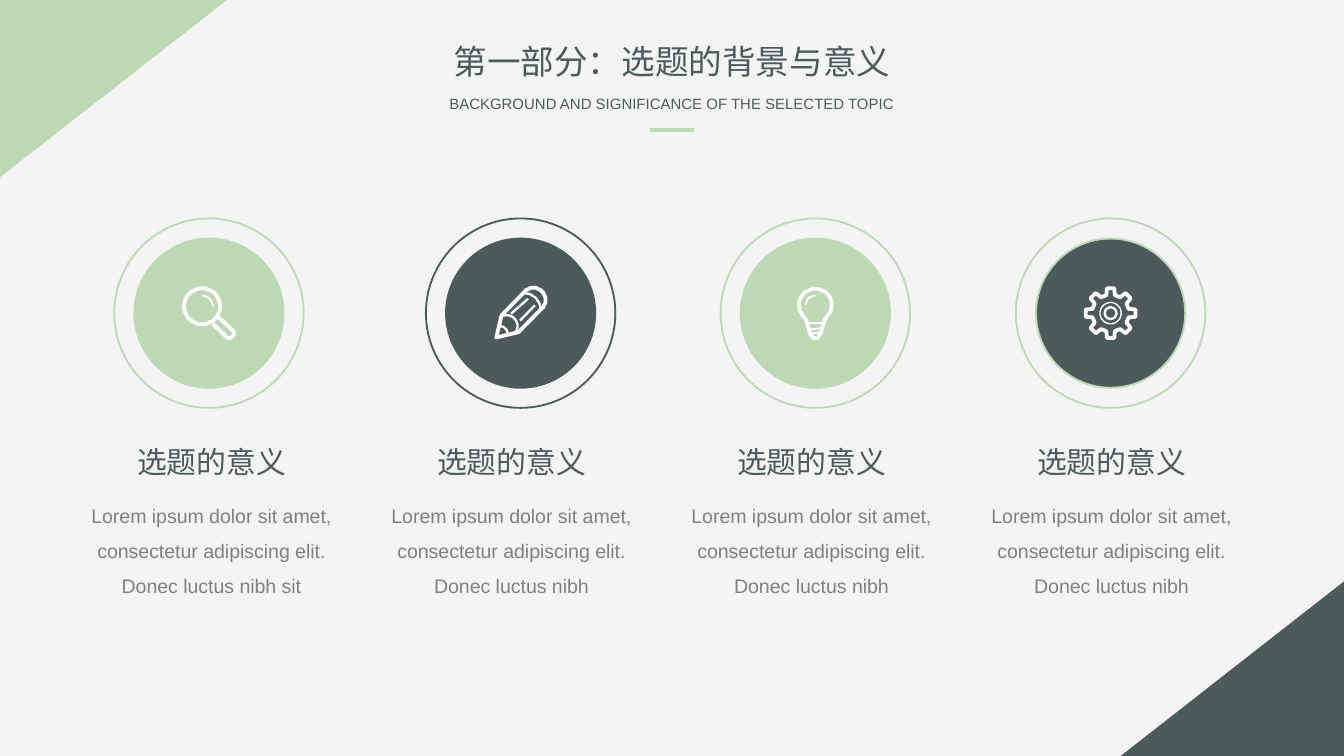
import math
from dataclasses import dataclass

import pptx
import pptx.dml.color
import pptx.enum.shapes
import pptx.enum.text
import pptx.oxml
import pptx.oxml.ns
import pptx.util
from lxml import etree

Cm = pptx.util.Cm
Pt = pptx.util.Pt
qn = pptx.oxml.ns.qn
Shape = pptx.enum.shapes.MSO_SHAPE
Points = list[tuple[float, float]]


@dataclass(frozen=True)
class Theme:
    paper: str = "F4F4F4"
    green: str = "BCD9B4"
    slate: str = "4D5A5C"
    grey: str = "808080"
    white: str = "FFFFFF"
    cjk: str = "Noto Sans CJK SC"
    latin: str = "Arial"
    title: float = 18
    subtitle: float = 8
    heading: float = 16
    body: float = 10.5


@dataclass(frozen=True)
class Stroke:
    """Contours drawn with one pen, in hundredths of a cm from the icon centre."""
    width: float
    contours: list[Points]


@dataclass(frozen=True)
class Feature:
    center: float
    disc: str
    rim: str
    icon: list[Stroke]
    body: str


THEME = Theme()
WIDTH, HEIGHT = 25.4, 14.29


def rgb(value: str) -> pptx.dml.color.RGBColor:
    return pptx.dml.color.RGBColor.from_string(value)


def arc(x: float, y: float, radius: float, start: float, end: float) -> Points:
    steps = max(8, round(abs(end - start) / 9))
    angles = [math.radians(start + (end - start) * i / steps) for i in range(steps + 1)]
    return [(x + radius * math.cos(a), y + radius * math.sin(a)) for a in angles]


def ring(x: float, y: float, radius: float) -> Points:
    return arc(x, y, radius, 0, 360)


def closed(points: Points) -> Points:
    return points + points[:1]


def magnifier() -> list[Stroke]:
    handle = [(18, 8)] + arc(38, 38, 9, -45, 135) + [(7, 20)]
    return [Stroke(2, [ring(-13, -13, 34), handle]),
            Stroke(1, [arc(-13, -13, 20, -90, 0)])]


def pencil() -> list[Stroke]:
    outline = arc(24, -25, 23, -135, 45) + [(-4, 36), (-46, 46), (-36, 4)]
    ferrule, wood, lead = arc(8, -8, 29, -90, 0), arc(-26, 24, 20, -135, 45), arc(-41, 41, 17, -90, 0)
    edges = [[(-18, 1), (14, -27)], [(-1, 14), (27, -15)]]
    return [Stroke(2, [closed(outline)]), Stroke(1.25, [ferrule, wood, lead, *edges])]


def bulb() -> list[Stroke]:
    right = [(17, 14), (13, 28), (10, 39), (4, 47)]
    left = [(-x, y) for x, y in reversed(right)]
    bands = [[(-15, 18), (15, 18)], [(-11, 31), (12, 28)], [(-8, 39), (9, 36)]]
    return [Stroke(2, [closed(arc(0, -15, 31, 160, 380) + right + left)]),
            Stroke(1, [arc(0, -15, 18, 180, 270), *bands])]


def gear() -> list[Stroke]:
    tooth = [(-14, 35), (-8, 47), (8, 47), (14, 35)]
    teeth = [(radius * math.cos(math.radians(45 * i + turn)),
              radius * math.sin(math.radians(45 * i + turn)))
             for i in range(8) for turn, radius in tooth]
    return [Stroke(2, [closed(teeth)]), Stroke(0.75, [ring(0, 0, 20)]),
            Stroke(1.25, [ring(0, 0, 11)])]


def draw_shape(page, kind, x: float, y: float, w: float, h: float,
               fill: str | None = None, line: str | None = None):
    shape = page.shapes.add_shape(kind, Cm(x), Cm(y), Cm(w), Cm(h))
    shape.shadow.inherit = False
    if fill:
        shape.fill.solid()
        shape.fill.fore_color.rgb = rgb(fill)
    else:
        shape.fill.background()
    if line:
        shape.line.color.rgb = rgb(line)
        shape.line.width = Pt(1)
    else:
        shape.line.fill.background()
    return shape


def draw_corner(page, x: float, y: float, w: float, h: float, turn: int, color: str) -> None:
    """Quarter-turned triangle whose visible box is x, y, w, h."""
    shift = (w - h) / 2
    draw_shape(page, Shape.RIGHT_TRIANGLE, x + shift, y - shift, h, w, color).rotation = turn


def draw_text(page, text: str, center: float, y: float, w: float, h: float, font: str,
              size: float, color: str, wrap: bool = False, spacing: float = 1.0) -> None:
    box = page.shapes.add_textbox(Cm(center - w / 2), Cm(y), Cm(w), Cm(h))
    frame = box.text_frame
    frame.word_wrap = wrap
    frame.margin_top = frame.margin_bottom = 0
    frame.vertical_anchor = pptx.enum.text.MSO_ANCHOR.MIDDLE
    para = frame.paragraphs[0]
    para.alignment = pptx.enum.text.PP_ALIGN.CENTER
    para.line_spacing = spacing
    span = para.add_run()
    span.text = text
    span.font.name, span.font.size = font, Pt(size)
    span.font.color.rgb = rgb(color)
    etree.SubElement(span.font._element, qn("a:ea")).set("typeface", font)


def draw_stroke(page, stroke: Stroke, x: float, y: float) -> None:
    first, *others = stroke.contours
    builder = page.shapes.build_freeform(*first[0], scale=Cm(0.01))
    builder.add_line_segments(first[1:], close=False)
    for contour in others:
        builder.move_to(*contour[0])
        builder.add_line_segments(contour[1:], close=False)
    shape = builder.convert_to_shape(Cm(x), Cm(y))
    shape.shadow.inherit = False
    shape.fill.background()
    shape.line.color.rgb = rgb(THEME.white)
    shape.line.width = Pt(stroke.width)
    etree.SubElement(shape._element.spPr.find(qn("a:ln")), qn("a:round"))


def draw_header(page) -> None:
    middle = WIDTH / 2
    draw_text(page, "第一部分：选题的背景与意义", middle, 0.64, 8.84, 1.02,
              THEME.cjk, THEME.title, THEME.slate)
    draw_text(page, "BACKGROUND AND SIGNIFICANCE OF THE SELECTED TOPIC", middle, 1.65, 9.02, 0.61,
              THEME.latin, THEME.subtitle, THEME.slate)
    rule = page.shapes.add_connector(pptx.enum.shapes.MSO_CONNECTOR.STRAIGHT,
                                     Cm(middle - 0.42), Cm(2.46), Cm(middle + 0.42), Cm(2.46))
    rule.line.color.rgb = rgb(THEME.green)
    rule.line.width = Pt(2.25)
    etree.SubElement(rule._element.spPr, qn("a:effectLst"))


def draw_feature(page, feature: Feature, column: int) -> None:
    # Disc, ring and icon share one centre
    x, y = feature.center, 5.92
    for size, fill, line in ((2.82, feature.disc, feature.rim),
                             (3.58, None, feature.rim)):
        draw_shape(page, Shape.OVAL, x - size / 2, y - size / 2, size, size, fill, line)
    for stroke in feature.icon:
        draw_stroke(page, stroke, x, y)
    # Captions sit on an even grid
    caption = 4 + 5.67 * column
    draw_text(page, "选题的意义", caption, 8.26, 3.35, 0.94,
              THEME.cjk, THEME.heading, THEME.slate)
    draw_text(page, feature.body, caption, 9.19, 5.77, 2.21,
              THEME.latin, THEME.body, THEME.grey, wrap=True, spacing=1.5)


def main() -> None:
    deck = pptx.Presentation()
    deck.slide_width, deck.slide_height = Cm(WIDTH), Cm(HEIGHT)
    page = deck.slides.add_slide(deck.slide_layouts[6])
    page.background.fill.solid()
    page.background.fill.fore_color.rgb = rgb(THEME.paper)

    # Corner triangles
    draw_corner(page, 0, 0, 4.29, 3.35, 90, THEME.green)
    for w, h in ((4.22, 3.3), (3.99, 3.12)):
        draw_corner(page, WIDTH - w, HEIGHT - h, w, h, 270, THEME.slate)

    draw_header(page)

    # Four features
    body = "Lorem ipsum dolor sit amet, consectetur adipiscing elit. Donec luctus nibh"
    features = [
        Feature(3.95, THEME.green, THEME.green, magnifier(), body + " sit"),
        Feature(9.84, THEME.slate, THEME.slate, pencil(), body),
        Feature(15.41, THEME.green, THEME.green, bulb(), body),
        Feature(20.99, THEME.slate, THEME.green, gear(), body),
    ]
    for column, feature in enumerate(features):
        draw_feature(page, feature, column)
    deck.save("out.pptx")


if __name__ == "__main__":
    main()
